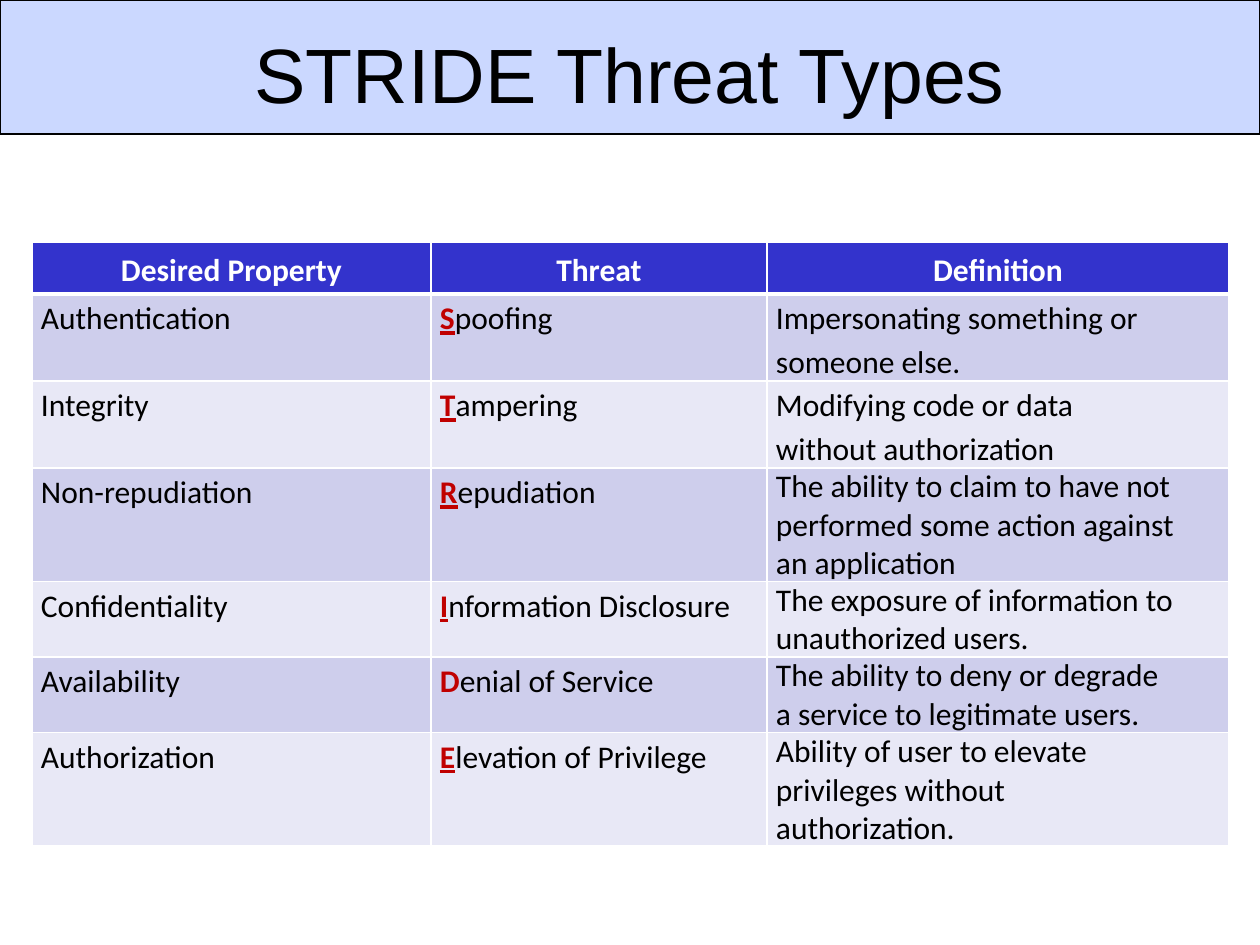
from lxml.etree import SubElement
from pptx import Presentation
from pptx.dml.color import RGBColor
from pptx.enum.shapes import MSO_SHAPE
from pptx.enum.text import MSO_ANCHOR, PP_ALIGN
from pptx.oxml.ns import qn
from pptx.util import Pt

EMU_PER_PX = 914400 // 126
COLORS = {
    "band": "3366FF",
    "header": "3333CC",
    "odd_row": "CECEEC",
    "even_row": "E8E8F6",
    "initial": "C00000",
    "black": "000000",
    "white": "FFFFFF",
}
COLUMN_WIDTHS = [399, 336, 462]
ROW_HEIGHT = 52
HANGING_INDENT = 48
HEADINGS = ["Desired Property", "Threat", "Definition"]
# Property, threat, definition lines
THREATS = [
    ("Authentication", "Spoofing", ["Impersonating something or", "someone else."]),
    ("Integrity", "Tampering", ["Modifying code or data", "without authorization"]),
    ("Non-repudiation", "Repudiation",
     ["The ability to claim to have not", "performed some action against", "an application"]),
    ("Confidentiality", "Information Disclosure",
     ["The exposure of information to", "unauthorized users."]),
    ("Availability", "Denial of Service",
     ["The ability to deny or degrade", "a service to legitimate users."]),
    ("Authorization", "Elevation of Privilege",
     ["Ability of user to elevate", "privileges without", "authorization."]),
]
BODY_FONT = {"name": "Calibri", "size": Pt(18), "bold": False}
HEADING_FONT = BODY_FONT | {"bold": True}
TITLE_FONT = {"name": "Arial", "size": Pt(44)}
SPACED = {"line_spacing": 1.15}


def px(length):
    return length * EMU_PER_PX


def box(*lengths):
    return [px(length) for length in lengths]


def color(name):
    return RGBColor.from_string(COLORS[name])


def apply_format(target, values):
    for name, value in values.items():
        setattr(target, name, value)


def add_run(paragraph, text, font, color_name):
    run = paragraph.add_run()
    run.text = text
    apply_format(run.font, font)
    run.font.color.rgb = color(color_name)


def hang(paragraph):
    properties = paragraph._p.get_or_add_pPr()
    properties.set("marL", str(px(HANGING_INDENT)))
    properties.set("indent", str(-px(HANGING_INDENT)))


def add_title_band(slide):
    band = slide.shapes.add_shape(MSO_SHAPE.RECTANGLE, *box(0, 0, 1260, 134))
    band.shadow.inherit = False
    band.fill.solid()
    band.fill.fore_color.rgb = color("band")
    fill_color = band._element.spPr.find(qn("a:solidFill"))[0]
    SubElement(fill_color, qn("a:alpha"), val="25000")
    band.line.color.rgb = color("black")
    band.line.width = Pt(0.75)


def add_title(slide, text):
    frame = slide.shapes.add_textbox(*box(63, 20, 1134, 105)).text_frame
    apply_format(frame, {"word_wrap": True, "vertical_anchor": MSO_ANCHOR.MIDDLE})
    paragraph = frame.paragraphs[0]
    paragraph.alignment = PP_ALIGN.CENTER
    add_run(paragraph, text, TITLE_FONT, "black")


def style_cell(cell, fill_name, top=1, bottom=1):
    apply_format(cell, {"margin_left": px(9), "margin_right": px(9),
                        "margin_top": 0, "margin_bottom": 0})
    properties = cell._tc.get_or_add_tcPr()
    for side, width in {"L": 1, "R": 1, "T": top, "B": bottom}.items():
        border = SubElement(properties, qn(f"a:ln{side}"), w=str(Pt(width)))
        fill = SubElement(border, qn("a:solidFill"))
        SubElement(fill, qn("a:srgbClr"), val=COLORS["white"])
    cell.fill.solid()
    cell.fill.fore_color.rgb = color(fill_name)


def fill_header(table):
    for column, heading in enumerate(HEADINGS):
        cell = table.cell(0, column)
        style_cell(cell, "header", bottom=3)
        cell.vertical_anchor = MSO_ANCHOR.MIDDLE
        paragraph = cell.text_frame.paragraphs[0]
        apply_format(paragraph, SPACED | {"alignment": PP_ALIGN.CENTER})
        if heading == "Definition":
            hang(paragraph)
        add_run(paragraph, heading, HEADING_FONT, "white")


def fill_definition(cell, lines, spacing):
    frame = cell.text_frame
    for index, line in enumerate(lines):
        paragraph = frame.add_paragraph() if index else frame.paragraphs[0]
        apply_format(paragraph, spacing)
        hang(paragraph)
        add_run(paragraph, line, BODY_FONT, "black")


def fill_threat_row(table, row, desired_property, threat, lines):
    cells = [table.cell(row, column) for column in range(len(HEADINGS))]
    for cell in cells:
        style_cell(cell, "odd_row" if row % 2 else "even_row", top=3 if row == 1 else 1)
    property_paragraph, threat_paragraph = [cell.text_frame.paragraphs[0] for cell in cells[:2]]
    for paragraph in (property_paragraph, threat_paragraph):
        apply_format(paragraph, SPACED)
        if row > 1:
            paragraph.space_before = Pt(10)
    add_run(property_paragraph, desired_property, BODY_FONT, "black")
    # The STRIDE initial stands out; only the D has no underline
    initial_font = BODY_FONT | {"bold": True, "underline": threat[0] != "D"}
    add_run(threat_paragraph, threat[0], initial_font, "initial")
    add_run(threat_paragraph, threat[1:], BODY_FONT, "black")
    # The first two definitions are set with wider lines
    fill_definition(cells[2], lines, SPACED if row <= 2 else {})


def add_threat_table(slide):
    row_count = len(THREATS) + 1
    frame = slide.shapes.add_table(
        row_count, len(HEADINGS),
        *box(32, 242, sum(COLUMN_WIDTHS), row_count * ROW_HEIGHT))
    table = frame.table
    for column, width in zip(table.columns, COLUMN_WIDTHS):
        column.width = px(width)
    for row in table.rows:
        row.height = px(ROW_HEIGHT)
    fill_header(table)
    for row, threat in enumerate(THREATS, start=1):
        fill_threat_row(table, row, *threat)


def main():
    presentation = Presentation()
    presentation.slide_width, presentation.slide_height = box(1260, 945)
    slide = presentation.slides.add_slide(presentation.slide_layouts[6])
    add_title_band(slide)
    add_title(slide, "STRIDE Threat Types")
    add_threat_table(slide)
    presentation.save("out.pptx")


if __name__ == "__main__":
    main()
